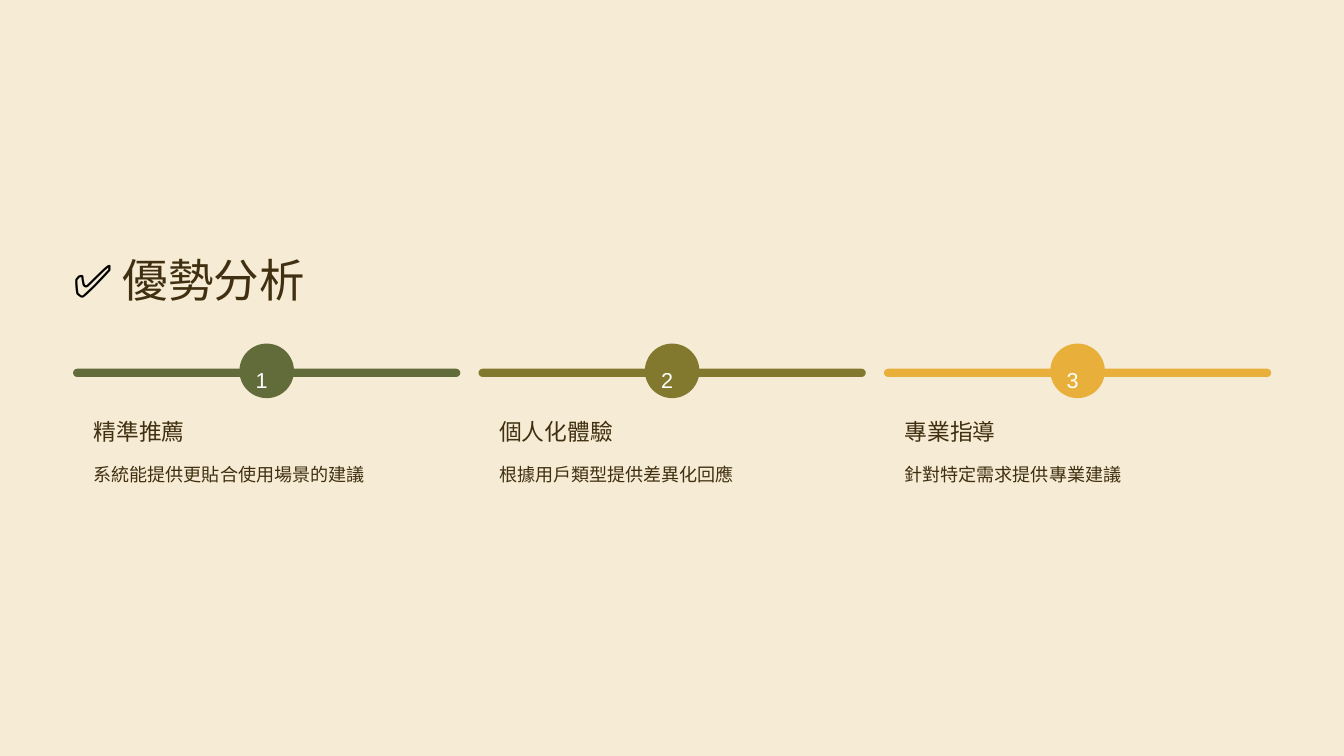
import pptx
import pptx.util
import pptx.dml.color
import pptx.enum.shapes

Cm = pptx.util.Cm
Pt = pptx.util.Pt
RGBColor = pptx.dml.color.RGBColor

CREAM = RGBColor(0xF6, 0xEB, 0xD4)
BROWN = RGBColor(0x40, 0x30, 0x11)
BLACK = RGBColor(0x00, 0x00, 0x00)
WHITE = RGBColor(0xFF, 0xFF, 0xFF)
GREEN = RGBColor(0x62, 0x6C, 0x3B)
OLIVE = RGBColor(0x83, 0x79, 0x2E)
GOLD = RGBColor(0xE8, 0xAF, 0x3B)

LEFT = 2.21
PITCH = 12.26
STEPS = [
    ("精準推薦", "系統能提供更貼合使用場景的建議", GREEN),
    ("個人化體驗", "根據用戶類型提供差異化回應", OLIVE),
    ("專業指導", "針對特定需求提供專業建議", GOLD),
]


def write(para, text, size=15.5, color=BROWN, font="Arial"):
    run = para.add_run()
    run.text = text
    run.font.name = font
    run.font.size = Pt(size)
    run.font.color.rgb = color


class Deck:
    def __init__(self):
        self.file = pptx.Presentation()
        self.file.slide_width = Cm(40.64)
        self.file.slide_height = Cm(22.86)
        self.slide = self.file.slides.add_slide(self.file.slide_layouts[6])
        fill = self.slide.background.fill
        fill.solid()
        fill.fore_color.rgb = CREAM

    def pill(self, x, y, w, h, color):
        """Add a bar with fully rounded ends; equal sides give a disc."""
        kind = pptx.enum.shapes.MSO_SHAPE.ROUNDED_RECTANGLE
        shape = self.slide.shapes.add_shape(kind, Cm(x), Cm(y), Cm(w), Cm(h))
        shape.adjustments[0] = 0.5
        shape.shadow.inherit = False
        shape.fill.solid()
        shape.fill.fore_color.rgb = color
        shape.line.fill.background()

    def text(self, x, y, w, h, lead, *runs):
        """Add one line of text; each run is (text, size, color)."""
        box = self.slide.shapes.add_textbox(Cm(x), Cm(y), Cm(w), Cm(h))
        frame = box.text_frame
        frame.word_wrap = False
        frame.margin_left = frame.margin_right = 0
        frame.margin_top = frame.margin_bottom = 0
        para = frame.paragraphs[0]
        para.line_spacing = Pt(lead)
        for text, size, color in runs:
            write(para, text, size=size, color=color)

    def step(self, num, head, note, color):
        x = LEFT + (num - 1) * PITCH
        self.pill(x, 11.15, 11.71, 0.25, color)
        self.pill(x + 5.03, 10.39, 1.65, 1.65, color)
        self.text(x + 5.52, 10.82, 0.66, 0.84, 30, (str(num), 18.5, WHITE))
        self.text(x + 0.62, 12.6, 6.88, 0.86, 24, (head, 19.5, BROWN))
        self.text(x + 0.62, 13.79, 10.49, 0.89, 25, (note, 15.5, BROWN))


def main():
    deck = Deck()
    deck.text(LEFT, 7.57, 13.79, 1.73, 48.5,
              ("✅", 39, BLACK), (" 優勢分析", 39, BROWN))
    for num, (head, note, color) in enumerate(STEPS, 1):
        deck.step(num, head, note, color)
    deck.file.save("out.pptx")


if __name__ == "__main__":
    main()
